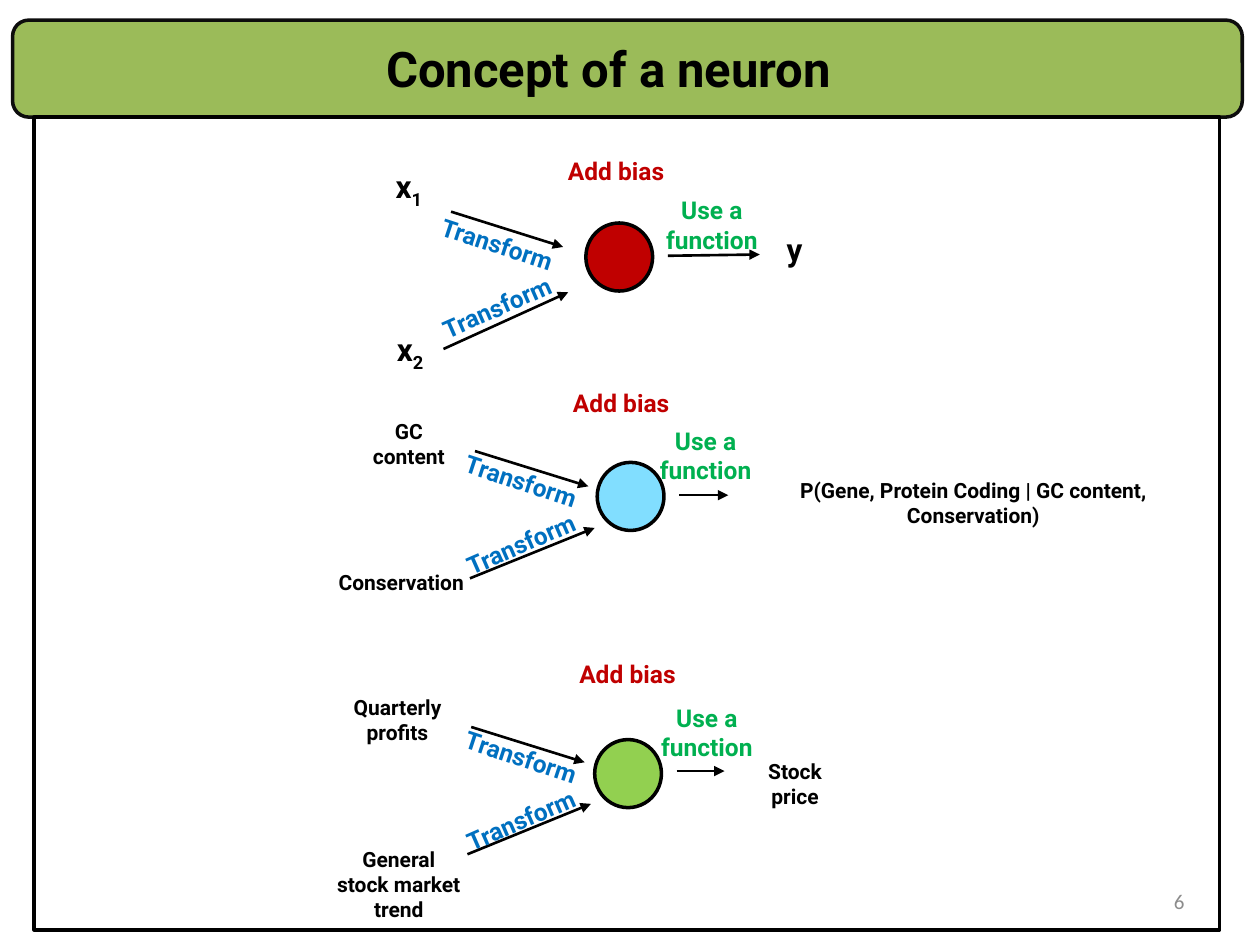
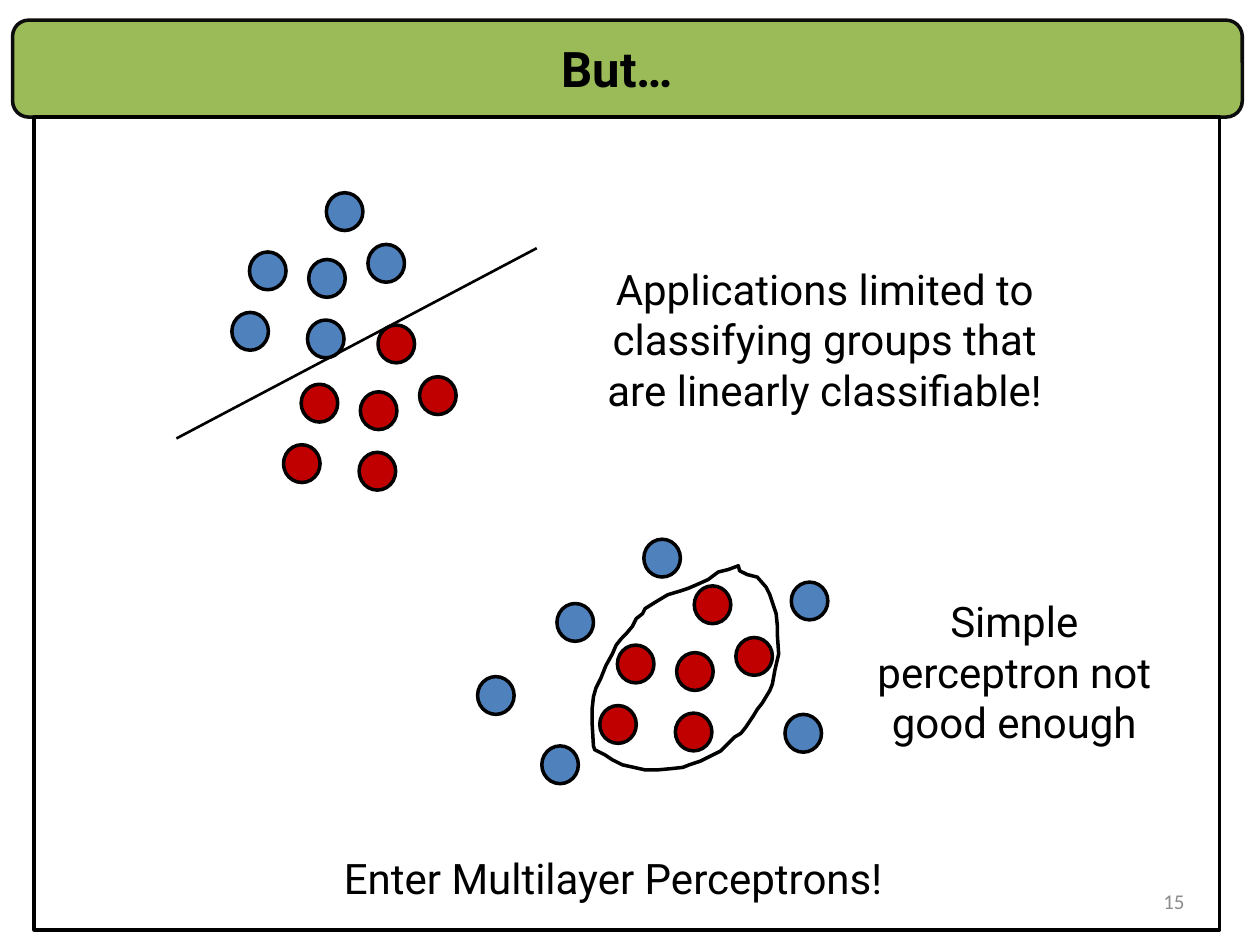
from lxml.etree import SubElement
from pptx import Presentation
from pptx.dml.color import RGBColor
from pptx.enum.shapes import MSO_CONNECTOR as Connector, MSO_SHAPE as Shape
from pptx.enum.text import MSO_ANCHOR as Anchor, MSO_AUTO_SIZE as AutoSize, PP_ALIGN as Align
from pptx.oxml.ns import qn
from pptx.util import Inches, Pt

COLORS = {
    "black": "000000", "band": "9BBB59", "band_edge": "0D0D0D", "number": "8C8C8C",
    "red": "C00000", "sky": "81DEFF", "lime": "92D050", "blue": "4F81BD",
    "transform": "0070C0", "function": "00B050",
}
FONT, NUMBER_FONT = "Roboto", "Calibri"

NEURONS = [
    {
        "body": (4.65, 1.77), "color": "red",
        "inputs": [("x", "1", 2.98, 1.28, 0.53, 0.4), ("x", "2", 2.99, 2.57, 0.53, 0.4)],
        "output": ("y", 6.04, 1.78, 0.53, 0.4), "size": 18,
        "arrows": [(3.58, 1.68, 4.47, 1.96), (3.52, 2.77, 4.51, 2.32), (5.3, 2.03, 6.03, 2.02)],
        "bias": (3.88, 1.19), "transform": (3.33, 1.77), "function": (5.14, 1.5),
    },
    {
        "body": (4.74, 3.67), "color": "sky",
        "inputs": [("GC content", "", 2.81, 3.27, 0.87, 0.5),
                   ("Conservation", "", 2.58, 4.47, 1.21, 0.3)],
        "output": ("P(Gene, Protein Coding | GC content, Conservation)", 5.8, 3.74, 3.85, 0.3),
        "size": 12,
        "arrows": [(3.77, 3.58, 4.67, 3.86), (3.73, 4.59, 4.72, 4.19), (5.39, 3.93, 5.78, 3.93)],
        "bias": (3.92, 3.03), "transform": (3.52, 3.65), "function": (5.09, 3.33),
    },
    {
        "body": (4.72, 5.87), "color": "lime",
        "inputs": [("Quarterly profits", "", 2.67, 5.46, 0.97, 0.5),
                   ("General stock market trend", "", 2.56, 6.67, 1.21, 0.5)],
        "output": ("Stock price", 5.8, 5.97, 1.02, 0.3), "size": 12,
        "arrows": [(3.74, 5.77, 4.64, 6.05), (3.71, 6.78, 4.69, 6.38), (5.37, 6.12, 5.75, 6.12)],
        "bias": (3.97, 5.18), "transform": (3.52, 5.84), "function": (5.1, 5.53),
    },
]

CLUSTER = [(0.14, 0.47), (0.61, 0.53), (0, 0.95), (0.75, 0), (1.08, 0.41), (0.6, 1.01)]
SURROUNDING = [(3.79, 5.37), (6.23, 5.67), (4.42, 4.79), (5.11, 4.28), (4.3, 5.92), (6.28, 4.62)]
BOUNDARY = [
    (5.86, 4.49), (5.78, 4.52), (5.7, 4.54), (5.62, 4.6), (5.53, 4.64), (5.46, 4.67),
    (5.4, 4.69), (5.3, 4.72), (5.2, 4.78), (5.12, 4.83), (5.1, 4.87), (5.05, 4.91),
    (5.02, 4.97), (4.97, 5.03), (4.93, 5.07), (4.89, 5.12), (4.86, 5.19), (4.81, 5.28),
    (4.77, 5.38), (4.73, 5.46), (4.71, 5.53), (4.7, 5.62), (4.7, 5.75), (4.71, 5.92),
    (4.72, 5.95), (4.8, 5.99), (4.86, 6.03), (4.94, 6.07), (5.03, 6.09), (5.12, 6.11),
    (5.22, 6.11), (5.33, 6.1), (5.42, 6.09), (5.47, 6.07), (5.56, 6.04), (5.64, 6),
    (5.72, 5.96), (5.78, 5.9), (5.83, 5.85), (5.88, 5.82), (5.92, 5.77), (5.98, 5.68),
    (6.01, 5.63), (6.05, 5.58), (6.11, 5.48), (6.13, 5.43), (6.15, 5.32), (6.18, 5.19),
    (6.17, 5.04), (6.17, 4.97), (6.16, 4.87), (6.14, 4.81), (6.11, 4.72), (6.08, 4.66),
    (6.01, 4.58), (5.93, 4.56), (5.87, 4.53),
]


def rgb(color):
    return RGBColor.from_string(COLORS[color])


def style_outline(shape, fill=None, edge="black"):
    shape.shadow.inherit = False
    if fill:
        shape.fill.solid()
        shape.fill.fore_color.rgb = rgb(fill)
    else:
        shape.fill.background()
    shape.line.color.rgb = rgb(edge)
    shape.line.width = Pt(2)


def add_outline(shapes, kind, box, fill=None, edge="black"):
    shape = shapes.add_shape(kind, *map(Inches, box))
    style_outline(shape, fill, edge)


def add_label(slide, text, box, size, color="black", bold=True, subscript="", rotation=0,
              font=FONT, align=Align.CENTER, grow=True):
    label = slide.shapes.add_textbox(*map(Inches, box))
    label.rotation = rotation
    frame = label.text_frame
    frame.word_wrap = True
    if grow:
        frame.auto_size = AutoSize.SHAPE_TO_FIT_TEXT
    else:
        frame.vertical_anchor = Anchor.MIDDLE
    frame.text = text
    paragraph = frame.paragraphs[0]
    paragraph.alignment = align
    if subscript:
        index = paragraph.add_run()
        index.text = subscript
        index.font._element.set("baseline", "-25000")
    for run in paragraph.runs:
        run.font.name = font
        run.font.size = Pt(size)
        run.font.bold = bold
        run.font.color.rgb = rgb(color)


def add_line(shapes, ends, arrow=False):
    line = shapes.add_connector(Connector.STRAIGHT, *map(Inches, ends))
    line.line.color.rgb = rgb("black")
    line.line.width = Pt(1.5)
    if arrow:
        SubElement(line.line._get_or_add_ln(), qn("a:tailEnd"), type="triangle")
    SubElement(line._element.spPr, qn("a:effectLst"))


def add_dots(shapes, points, color, dx=0, dy=0):
    for x, y in points:
        add_outline(shapes, Shape.OVAL, (x + dx, y + dy, 0.29, 0.3), color)


def add_boundary(shapes):
    start, *rest = [(Inches(x), Inches(y)) for x, y in BOUNDARY]
    builder = shapes.build_freeform(*start)
    builder.add_line_segments(rest, close=True)
    style_outline(builder.convert_to_shape())


def add_neuron(slide, neuron):
    add_outline(slide.shapes, Shape.OVAL, (*neuron["body"], 0.53, 0.54), neuron["color"])
    for text, subscript, *box in neuron["inputs"]:
        add_label(slide, text, box, neuron["size"], subscript=subscript)
    output, *box = neuron["output"]
    add_label(slide, output, box, neuron["size"])
    for ends in neuron["arrows"]:
        add_line(slide.shapes, ends, arrow=True)
    add_label(slide, "Add bias", (*neuron["bias"], 2.02, 0.34), 14, "red")
    x, y = neuron["transform"]
    for drop, rotation in ((0, 18.3), (0.5, 336.3)):
        add_label(slide, "Transform", (x, y + drop, 1.23, 0.34), 14, "transform",
                  rotation=rotation)
    add_label(slide, "Use a function", (*neuron["function"], 1.02, 0.57), 14, "function")


def add_base(deck, title, title_left, number):
    slide = deck.slides.add_slide(deck.slide_layouts[6])
    add_outline(slide.shapes, Shape.ROUNDED_RECTANGLE, (0.1, 0.16, 9.76, 0.77),
                "band", "band_edge")
    add_outline(slide.shapes, Shape.RECTANGLE, (0.27, 0.93, 9.41, 6.45))
    add_label(slide, title, (title_left, 0.26, 9, 0.55), 28, grow=False)
    add_label(slide, str(number), (7.17, 6.95, 2.33, 0.4), 12, "number", bold=False,
              font=NUMBER_FONT, align=Align.RIGHT, grow=False)
    return slide


def build_neuron_slide(deck):
    slide = add_base(deck, "Concept of a neuron", 0.33, 6)
    for neuron in NEURONS:
        add_neuron(slide, neuron)


def build_limits_slide(deck):
    slide = add_base(deck, "But…", 0.4, 15)
    separable = slide.shapes.add_group_shape().shapes
    add_dots(separable, CLUSTER, "blue", 1.84, 1.53)
    add_dots(separable, CLUSTER, "red", 2.25, 2.58)
    add_line(separable, (1.4, 3.48, 4.26, 1.97))
    enclosed = slide.shapes.add_group_shape().shapes
    add_dots(enclosed, SURROUNDING, "blue")
    add_dots(enclosed, CLUSTER, "red", 4.76, 4.65)
    add_boundary(enclosed)
    for text, box in (
        ("Applications limited to classifying groups that are linearly classifiable!",
         (4.62, 2.04, 3.85, 1.31)),
        ("Simple perceptron not good enough", (6.75, 4.68, 2.6, 1.31)),
        ("Enter Multilayer Perceptrons!", (1.09, 6.72, 7.55, 0.5)),
    ):
        add_label(slide, text, box, 24, bold=False)


def main():
    deck = Presentation()
    deck.slide_width, deck.slide_height = Inches(10), Inches(7.5)
    build_neuron_slide(deck)
    build_limits_slide(deck)
    deck.save("out.pptx")


if __name__ == "__main__":
    main()
